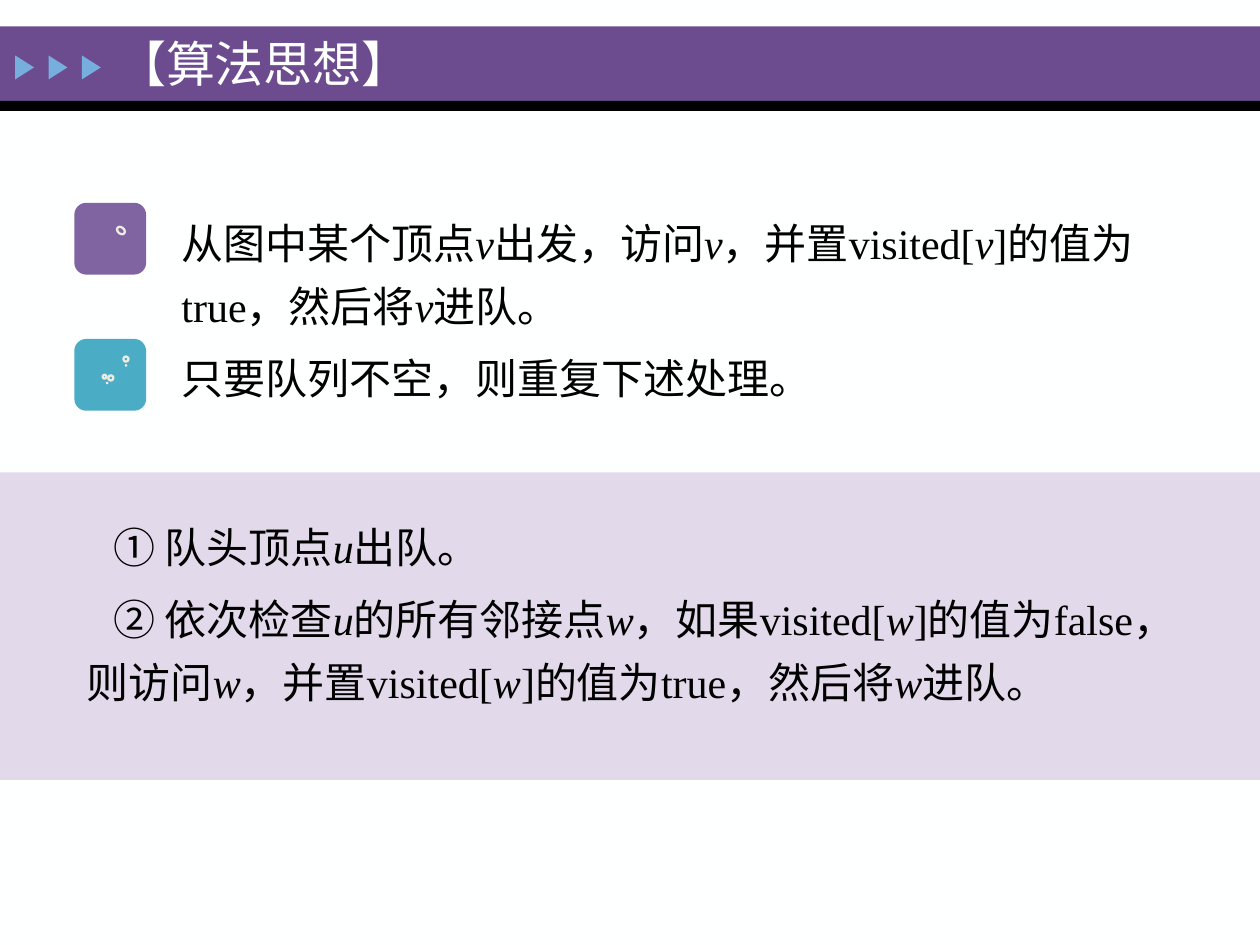
"""Build the slide on the idea behind breadth-first graph search."""
from math import cos, radians, sin

from lxml.etree import SubElement
from pptx import Presentation
from pptx.dml.color import RGBColor
from pptx.enum.shapes import MSO_SHAPE
from pptx.enum.text import MSO_ANCHOR, MSO_AUTO_SIZE, PP_ALIGN
from pptx.oxml.ns import qn
from pptx.util import Inches, Pt

TITLE = "【算法思想】"
STEPS = [
    "从图中某个顶点*v*出发，访问*v*，并置visited[*v*]的值为true，然后将*v*进队。",
    "只要队列不空，则重复下述处理。",
]
LOOP = [
    "① 队头顶点*u*出队。",
    "② 依次检查*u*的所有邻接点*w*，如果visited[*w*]的值为false，"
    "则访问*w*，并置visited[*w*]的值为true，然后将*w*进队。",
]
WIDE, HIGH = 10, 7.5
CREAM = "EEECE1"
BARS = [(0.21, 0.59, "6C4C8F"), (0.8, 0.08, "000000"), (3.75, 2.44, "E2D9EB")]
TILES = [(1.61, "8064A2"), (2.69, "4BACC6")]
HEAD = [(0.93 + 0.085 * cos(radians(a)), 1.84 + 0.085 * sin(radians(a)))
        for a in range(110, -211, -10)]
SHAFT = [(0.74, 2), (0.74, 2.03), (0.78, 2.03), (0.8, 2.02), (0.83, 2.01),
         (0.83, 1.98), (0.87, 1.98), (0.87, 1.95)]
FLASK = [(0.88, 2.91), (0.75, 2.97), (0.75, 2.99), (0.87, 3.11), (0.89, 3.11),
         (0.94, 2.97), (0.97, 2.98), (0.99, 2.96), (0.99, 2.95), (0.91, 2.87),
         (0.9, 2.87), (0.88, 2.89)]
LEVEL = [(0.79, 2.95), (0.85, 2.95), (0.9, 2.96), (0.93, 2.99)]
RINGS = [(0.96, 1.83, 0.07, 0.05, 40), (0.88, 3, 0.04, 0.04, 0),
         (1, 2.85, 0.04, 0.04, 0), (0.83, 2.99, 0.03, 0.03, 0)]
DOTS = [(0.85, 3.04), (1, 2.9)]


def color(code):
    return RGBColor.from_string(code)


def paint(shape, fill=None, line=None):
    shape.shadow.inherit = False
    if fill:
        shape.fill.solid()
        shape.fill.fore_color.rgb = color(fill)
    else:
        shape.fill.background()
    if line:
        shape.line.color.rgb = color(line)
        shape.line.width = Pt(1.3)
    else:
        shape.line.fill.background()


def place(shape, box):
    shape.left, shape.top, shape.width, shape.height = map(Inches, box)


def draw(slide, kind, box, fill=None, line=None, turn=0):
    shape = slide.shapes.add_shape(kind, *map(Inches, box))
    shape.rotation = turn
    paint(shape, fill, line)


def trace(slide, dots, close):
    pen = slide.shapes.build_freeform(*dots[0], scale=Inches(1))
    pen.add_line_segments(dots[1:], close=close)
    paint(pen.convert_to_shape(), line=CREAM)


def write(shape, lines, box, size=24, ink="000000", indent=0, space=1.25,
          anchor=MSO_ANCHOR.TOP):
    place(shape, box)
    frame = shape.text_frame
    frame.word_wrap = True
    frame.auto_size = MSO_AUTO_SIZE.NONE
    frame.vertical_anchor = anchor
    for i, text in enumerate(lines):
        para = frame.add_paragraph() if i else frame.paragraphs[0]
        props = para._p.get_or_add_pPr()
        props.set("marL", "0")
        props.set("indent", str(Inches(indent)))
        SubElement(props, qn("a:buNone"))
        para.alignment = PP_ALIGN.LEFT
        para.line_spacing = space
        para.space_before = Pt(5 if i else 0)
        for j, part in enumerate(text.split("*")):
            run = para.add_run()
            run.text = part
            run.font.name = "Times New Roman"
            run.font.size = Pt(size)
            run.font.italic = j % 2 == 1
            run.font.color.rgb = color(ink)
    shape._element.getparent().append(shape._element)


def main():
    deck = Presentation()
    deck.slide_width, deck.slide_height = Inches(WIDE), Inches(HIGH)
    slide = deck.slides.add_slide(deck.slide_layouts[3])
    slide.background.fill.solid()
    slide.background.fill.fore_color.rgb = color("FEFFFF")
    for top, tall, fill in BARS:
        draw(slide, MSO_SHAPE.RECTANGLE, (0, top, WIDE, tall), fill)
    for i in range(3):
        box = (0.1 + 0.265 * i, 0.46, 0.19, 0.15)
        draw(slide, MSO_SHAPE.ISOSCELES_TRIANGLE, box, "76AEDD", turn=90)
    for top, fill in TILES:
        draw(slide, MSO_SHAPE.ROUNDED_RECTANGLE, (0.59, top, 0.57, 0.57), fill)
    for dots, close in ((HEAD + SHAFT[:0] + SHAFT, True), (FLASK, True), (LEVEL, False)):
        trace(slide, dots, close)
    for x, y, w, h, turn in RINGS:
        draw(slide, MSO_SHAPE.OVAL, (x - w / 2, y - h / 2, w, h), line=CREAM, turn=turn)
    for x, y in DOTS:
        draw(slide, MSO_SHAPE.OVAL, (x - 0.01, y - 0.01, 0.02, 0.02), CREAM)
    title, steps, loop = slide.placeholders
    write(title, [TITLE], (0.83, 0.17, 4.13, 0.66), size=28, ink="FEFFFF",
          space=1, anchor=MSO_ANCHOR.MIDDLE)
    write(steps, STEPS, (1.34, 1.58, 8.54, 1.7))
    write(loop, LOOP, (0.59, 3.99, 8.98, 1.65), indent=0.21)
    deck.save("out.pptx")


if __name__ == "__main__":
    main()
